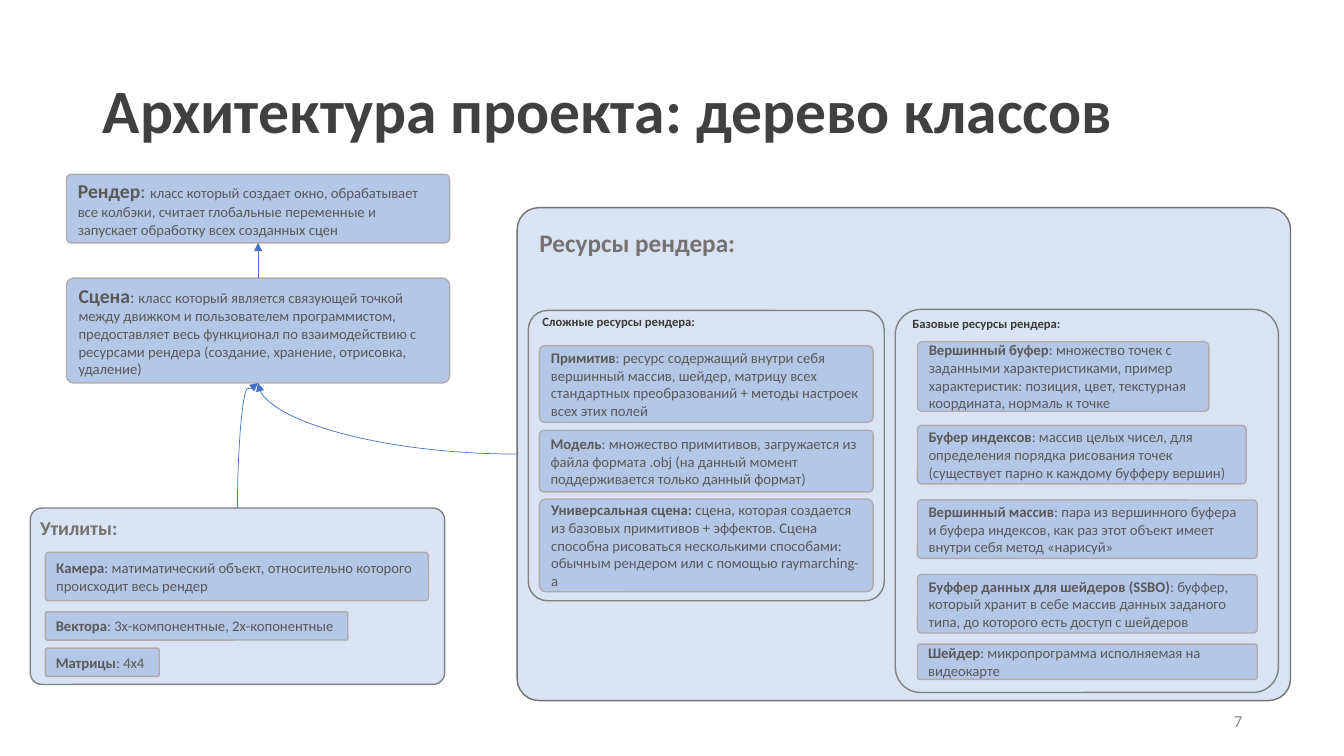
from dataclasses import dataclass
from lxml.etree import SubElement
from pptx import Presentation
from pptx.dml.color import RGBColor
from pptx.enum.shapes import MSO_CONNECTOR, MSO_SHAPE
from pptx.enum.text import MSO_ANCHOR, PP_ALIGN
from pptx.oxml.ns import qn
from pptx.util import Inches, Pt


@dataclass(frozen=True)
class Theme:
    font: str = "Calibri"
    title: str = "404040"
    body: str = "595959"
    head: str = "767171"
    label: str = "3B3838"
    number: str = "8C8C8C"
    card: str = "B4C7E7"
    edge: str = "AFABAB"
    panel: str = "DAE3F3"
    rim: str = "808080"
    arrow: str = "4472C4"
    huge: float = 44
    large: float = 18
    lead: float = 14
    small: float = 12
    text: float = 10.5
    tiny: float = 9


THEME = Theme()


def color(name):
    return RGBColor.from_string(name)


def write(frame, runs, size, tone, anchor=MSO_ANCHOR.MIDDLE, align=PP_ALIGN.LEFT):
    """Fill one paragraph; each run is (text, bold) or (text, bold, own size)."""
    frame.word_wrap = True
    frame.vertical_anchor = anchor
    para = frame.paragraphs[0]
    para.alignment = align
    para.font.name = THEME.font
    para.font.size = Pt(size)
    para.font.color.rgb = color(tone)
    for text, bold, *own in runs:
        run = para.add_run()
        run.text = text
        run.font.bold = bold
        if own:
            run.font.size = Pt(own[0])
    return para


def block(shapes, box, fill, edge, round_by):
    shape = shapes.add_shape(MSO_SHAPE.ROUNDED_RECTANGLE, *map(Inches, box))
    shape.adjustments[0] = round_by
    shape.shadow.inherit = False
    shape.fill.solid()
    shape.fill.fore_color.rgb = color(fill)
    shape.line.color.rgb = color(edge)
    shape.line.width = Pt(1)
    return shape


def card(shapes, box, runs):
    shape = block(shapes, box, THEME.card, THEME.edge, 0.069)
    write(shape.text_frame, runs, THEME.text, THEME.body)
    return shape


def label(shapes, box, text, size, tone):
    frame = shapes.add_textbox(*map(Inches, box)).text_frame
    write(frame, [(text, True)], size, tone, MSO_ANCHOR.TOP)


def stack(shapes, left, top, cards):
    """Cards under one left edge: (offset, width, height, name, text)."""
    for drop, width, height, name, text in cards:
        card(shapes, (left, top + drop, width, height),
             [(name, True), (text, False)])


def link(slide, start, side, goal, kind=MSO_CONNECTOR.STRAIGHT):
    """Arrow from a side of start to the bottom of goal."""
    line = slide.shapes.add_connector(kind, 0, 0, 0, 0)
    line.begin_connect(start, side)
    line.end_connect(goal, 2)
    line.line.color.rgb = color(THEME.arrow)
    line.line.width = Pt(0.5)
    props = line._element.spPr
    SubElement(props.find(qn("a:ln")), qn("a:tailEnd"), type="triangle")
    SubElement(props, qn("a:effectLst"))
    return line


def bend(line):
    """Turn an S curve so that it leaves its start upwards."""
    mid_x, mid_y = line.left + line.width // 2, line.top + line.height // 2
    line.width, line.height = line.height, line.width
    line.left, line.top = mid_x - line.width // 2, mid_y - line.height // 2
    frame = line._element.spPr.find(qn("a:xfrm"))
    for flip in ("flipH", "flipV"):
        frame.attrib.pop(flip, None)
    frame.set("rot", "16200000")
    guides = line._element.spPr.find(qn("a:prstGeom")).find(qn("a:avLst"))
    SubElement(guides, qn("a:gd"), name="adj1", fmla="val 95700")


def header(slide, box):
    title = slide.shapes.title
    title.left, title.top, title.width, title.height = map(Inches, box)
    para = write(title.text_frame, [("Архитектура проекта: дерево классов", True)],
                 THEME.huge, THEME.title)
    para.line_spacing = 0.9


def footer(slide, box):
    frame = slide.shapes.add_textbox(*map(Inches, box)).text_frame
    write(frame, [("7", False)], THEME.small, THEME.number, align=PP_ALIGN.RIGHT)


def core(slide, left, top, width):
    render = card(slide.shapes, (left, top, width, 0.68), [
        ("Рендер", True, THEME.lead), (": ", False, THEME.lead),
        ("класс который создает окно, обрабатывает все колбэки, считает "
         "глобальные переменные и запускает обработку всех созданных сцен", False)])
    scene = card(slide.shapes, (left, top + 1.03, width, 1.04), [
        ("Сцена", True, THEME.lead), (": ", False, THEME.small),
        ("класс который является связующей точкой между движком и пользователем "
         "программистом, предоставляет весь функционал по взаимодействию с "
         "ресурсами рендера (создание, хранение, отрисовка, удаление)", False)])
    return render, scene


def mixed(shapes, left, top, width, height):
    block(shapes, (left, top, width, height), THEME.panel, THEME.rim, 0.066)
    wide = width - 0.22
    stack(shapes, left + 0.11, top, [
        (0.35, wide, 0.76, "Примитив",
         ": ресурс содержащий внутри себя вершинный массив, шейдер, матрицу всех "
         "стандартных преобразований + методы настроек всех этих полей"),
        (1.19, wide, 0.61, "Модель",
         ": множество примитивов, загружается из файла формата .obj (на данный "
         "момент поддерживается только данный формат)"),
        (1.87, wide, 0.92, "Универсальная сцена: ",
         "сцена, которая создается из базовых примитивов + эффектов. Сцена "
         "способна рисоваться несколькими способами: обычным рендером или с "
         "помощью raymarching-а")])
    label(shapes, (left + 0.04, top - 0.02, 2.51, 0.25),
          "Сложные ресурсы рендера:", THEME.tiny, THEME.label)


def basic(shapes, left, top, width, height):
    block(shapes, (left, top, width, height), THEME.panel, THEME.rim, 0.066)
    label(shapes, (left + 0.07, top + 0.01, 2.81, 0.25),
          "Базовые ресурсы рендера:", THEME.tiny, THEME.label)
    wide = width - 0.43
    stack(shapes, left + 0.22, top, [
        (0.32, 2.89, 0.69, "Вершинный буфер",
         ": множество точек с заданными характеристиками, пример характеристик: "
         "позиция, цвет, текстурная координата, нормаль к точке"),
        (1.15, 3.26, 0.58, "Буфер индексов",
         ": массив целых чисел, для определения порядка рисования точек "
         "(существует парно к каждому буфферу вершин)"),
        (1.89, wide, 0.58, "Вершинный массив",
         ": пара из вершинного буфера и буфера индексов, как раз этот объект "
         "имеет внутри себя метод «нарисуй»"),
        (2.63, wide, 0.58, "Буффер данных для шейдеров (SSBO)",
         ": буффер, который хранит в себе массив данных заданого типа, до "
         "которого есть доступ с шейдеров"),
        (3.32, wide, 0.35, "Шейдер", ": микропрограмма исполняемая на видеокарте")])


def assets(slide, left, top, width, height):
    shapes = slide.shapes.add_group_shape().shapes
    panel = block(shapes, (left, top, width, height), THEME.panel, THEME.head, 0.044)
    mixed(shapes, left + 0.11, top + 1.02, 3.53, 2.88)
    basic(shapes, left + 3.75, top + 1.01, 3.8, 3.8)
    label(shapes, (left + 0.12, top + 0.15, 3.29, 0.4),
          "Ресурсы рендера:", THEME.large, THEME.head)
    return panel


def tools(slide, left, top, width, height):
    shapes = slide.shapes.add_group_shape().shapes
    panel = block(shapes, (left, top, width, height), THEME.panel, THEME.rim, 0.066)
    label(shapes, (left, top + 0.03, 2.64, 0.34),
          "Утилиты:", THEME.lead, THEME.head)
    stack(shapes, left + 0.15, top, [
        (0.44, 3.8, 0.48, "Камера",
         ": матиматический объект, относительно которого происходит весь рендер"),
        (1.03, 3, 0.28, "Вектора", ": 3х-компонентные, 2х-копонентные"),
        (1.39, 1.13, 0.28, "Матрицы", ": 4х4")])
    return panel


def main():
    deck = Presentation()
    deck.slide_width, deck.slide_height = Inches(13.33), Inches(7.5)
    slide = deck.slides.add_slide(deck.slide_layouts[5])
    header(slide, (0.92, 0.4, 11.5, 1.45))
    footer(slide, (9.42, 6.95, 3, 0.4))
    render, scene = core(slide, 0.66, 1.73, 3.8)
    store = assets(slide, 5.13, 2.06, 7.67, 4.89)
    kit = tools(slide, 0.3, 5.04, 4.11, 1.75)

    # Arrows up the class tree
    link(slide, scene, 0, render)
    bend(link(slide, kit, 0, scene, MSO_CONNECTOR.CURVE))
    arc = link(slide, store, 1, scene, MSO_CONNECTOR.CURVE)
    arc._element.spPr.find(qn("a:prstGeom")).set("prst", "curvedConnector2")
    deck.save("out.pptx")


if __name__ == "__main__":
    main()
